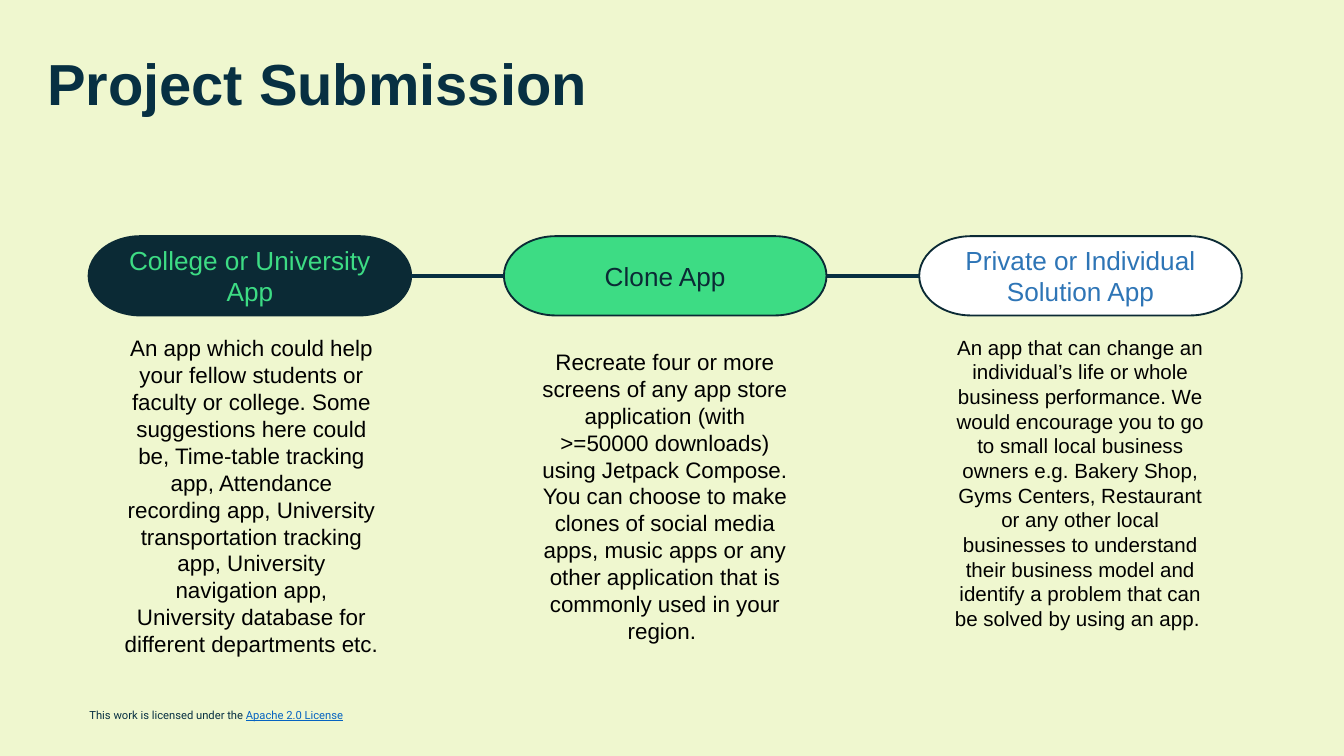
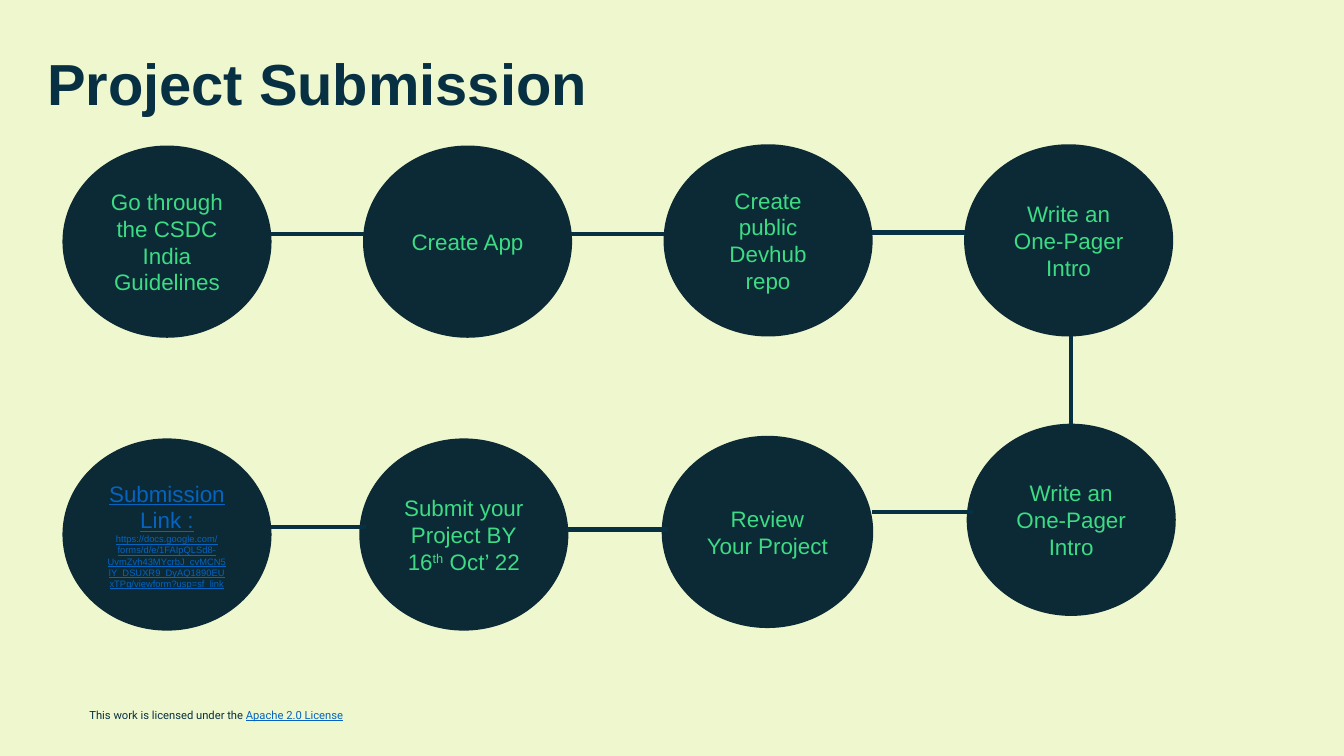
from dataclasses import dataclass
from itertools import pairwise

from lxml.etree import SubElement
from pptx import Presentation
from pptx.dml.color import RGBColor
from pptx.enum.shapes import MSO_CONNECTOR, MSO_SHAPE
from pptx.enum.text import MSO_ANCHOR, MSO_AUTO_SIZE, PP_ALIGN
from pptx.oxml.ns import qn
from pptx.util import Pt

PAPER = RGBColor(0xEF, 0xF7, 0xCF)
NAVY = RGBColor(0x07, 0x30, 0x42)
INK = RGBColor(0x0B, 0x2A, 0x35)
GREEN = RGBColor(0x3D, 0xDC, 0x84)
BLUE = RGBColor(0x2E, 0x75, 0xB6)
LINK = RGBColor(0x05, 0x63, 0xC1)
WHITE = RGBColor(0xFF, 0xFF, 0xFF)
BLACK = RGBColor(0x00, 0x00, 0x00)

PILL_TOP, PILL_WIDTH, PILL_HEIGHT = 126.5, 172.8, 42.5
PILL_LEFT, PILL_PITCH = 47.5, 222.5
CIRCLE_WIDTH, CIRCLE_HEIGHT = 111, 102
LINE_DROP = 46.8  # from the top of a circle to its horizontal line


@dataclass
class Span:
    text: str
    size: float = 12
    color: RGBColor = GREEN
    underline: bool = False
    superscript: bool = False
    bold: bool = False
    font: str = "Arial"


@dataclass
class Track:
    title: str
    fill: RGBColor
    color: RGBColor
    text: str
    size: float
    indent: float
    text_top: float
    text_height: float


@dataclass
class Step:
    left: float
    top: float
    paragraphs: list
    width: float = CIRCLE_WIDTH
    drop: float = LINE_DROP

    @property
    def right(self):
        return self.left + self.width

    @property
    def line_level(self):
        return self.top + self.drop


TRACKS = [
    Track("College or University App", INK, GREEN,
          "An app which could help your fellow students or faculty or college. "
          "Some suggestions here could be, Time-table tracking app, Attendance "
          "recording app, University transportation tracking app, University "
          "navigation app, University database for different departments etc.",
          12, 12, 175.7, 196.6),
    Track("Clone App", GREEN, INK,
          "Recreate four or more screens of any app store application (with "
          ">=50000 downloads) using Jetpack Compose. You can choose to make "
          "clones of social media apps, music apps or any other application "
          "that is commonly used in your region. ",
          12, 11, 183, 167),
    Track("Private or Individual Solution App", WHITE, BLUE,
          "An app that can change an individual’s life or whole business "
          "performance. We would encourage you to go to small local business "
          "owners e.g. Bakery Shop, Gyms Centers, Restaurant or any other local "
          "businesses to understand their business model and identify a problem "
          "that can be solved by using an app. ",
          11, 11, 175.7, 167),
]

TOP_ROW = [
    Step(34, 78.5, [[Span("Go through the CSDC India Guidelines")]]),
    Step(195, 78.5, [[Span("Create App")]]),
    Step(356, 77.8, [[Span("Create public Devhub repo")]]),
    Step(517, 77.8, [[Span("Write an One-Pager Intro")]]),
]
# Listed in reading order of the process, from right to left
BOTTOM_ROW = [
    Step(518.4, 227.5, [[Span("Write an One-Pager Intro")]]),
    Step(355, 234, [[Span("Review Your Project")]], width=112.3, drop=49.7),
    Step(193, 235.4, [
        [Span("Submit your Project BY")],
        [Span("16"), Span("th", superscript=True), Span(" Oct’ 22")],
    ]),
    Step(34, 235.4, [
        [Span("Submission Link :", color=LINK, underline=True)],
        [Span("https://docs.google.com/forms/d/e/1FAIpQLSd8-UvmZvh43MYcrbJ_"
              "cvMCN5lY_DSUXR9_DyAQ1890EUxTPg/viewform?usp=sf_link",
              size=5, color=LINK, underline=True)],
    ]),
]


def write(frame, paragraphs, align=PP_ALIGN.CENTER, line_spacing=None):
    """Fill a text frame with paragraphs, each a list of spans."""
    frame.word_wrap = True
    for index, spans in enumerate(paragraphs):
        para = frame.add_paragraph() if index else frame.paragraphs[0]
        para.alignment = align
        para.line_spacing = line_spacing
        for span in spans:
            run = para.add_run()
            run.text = span.text
            run.font.name = span.font
            run.font.size = Pt(span.size)
            run.font.bold = span.bold
            run.font.underline = span.underline
            run.font.color.rgb = span.color
            if span.superscript:
                run._r.get_or_add_rPr().set("baseline", "30000")


def set_margins(frame, margin):
    frame.margin_left = frame.margin_right = Pt(margin)
    frame.margin_top = frame.margin_bottom = Pt(margin)


def add_filled_shape(page, kind, left, top, width, height, fill, paragraphs):
    box = page.shapes.add_shape(kind, Pt(left), Pt(top), Pt(width), Pt(height))
    box.shadow.inherit = False
    box.fill.solid()
    box.fill.fore_color.rgb = fill
    box.line.color.rgb = INK
    box.line.width = Pt(1)
    box.text_frame.vertical_anchor = MSO_ANCHOR.MIDDLE
    write(box.text_frame, paragraphs)
    return box


def add_line(page, start=(0, 0), end=(0, 0)):
    line = page.shapes.add_connector(
        MSO_CONNECTOR.STRAIGHT, *(Pt(value) for value in (*start, *end)))
    line.line.color.rgb = NAVY
    line.line.width = Pt(2.25)
    SubElement(line._element.spPr, qn("a:effectLst"))
    return line


def join(page, first, first_site, second, second_site):
    line = add_line(page)
    line.begin_connect(first, first_site)
    line.end_connect(second, second_site)


def add_title(page, text):
    title = page.shapes.title
    title.left, title.top = Pt(18), Pt(14.4)
    title.width, title.height = Pt(651), Pt(39)
    frame = title.text_frame
    set_margins(frame, 7.2)
    frame.auto_size = MSO_AUTO_SIZE.NONE
    frame.vertical_anchor = MSO_ANCHOR.TOP
    write(frame, [[Span(text, 31, NAVY, bold=True)]], PP_ALIGN.LEFT, 1.1)


def add_footer(page):
    box = page.shapes.add_textbox(Pt(43.4), Pt(372.2), Pt(197.3), Pt(12.2))
    set_margins(box.text_frame, 4.5)
    write(box.text_frame, [[
        Span("This work is licensed under the ", 6, NAVY, font="Roboto"),
        Span("Apache 2.0 License", 6, LINK, underline=True, font="Roboto"),
    ]], PP_ALIGN.LEFT, 1.4)


def add_page(deck):
    """Add a slide with the shared title and footer."""
    page = deck.slides.add_slide(deck.slide_layouts[5])
    add_footer(page)
    add_title(page, "Project Submission")
    return page


def add_track(page, track, left):
    """Place a pill and its description; return the pill."""
    pill = add_filled_shape(
        page, MSO_SHAPE.FLOWCHART_TERMINATOR, left, PILL_TOP, PILL_WIDTH,
        PILL_HEIGHT, track.fill, [[Span(track.title, 14, track.color)]])
    box = page.shapes.add_textbox(
        Pt(left + track.indent), Pt(track.text_top), Pt(150.5), Pt(track.text_height))
    write(box.text_frame, [[Span(track.text, track.size, BLACK)]])
    box.text_frame.auto_size = MSO_AUTO_SIZE.SHAPE_TO_FIT_TEXT
    return pill


def add_tracks_page(deck):
    page = add_page(deck)
    pills = [add_track(page, track, PILL_LEFT + index * PILL_PITCH)
             for index, track in enumerate(TRACKS)]
    for first, second in pairwise(pills):
        join(page, first, 3, second, 1)


def add_circles(page, steps):
    return [add_filled_shape(page, MSO_SHAPE.OVAL, step.left, step.top, step.width,
                             CIRCLE_HEIGHT, INK, step.paragraphs)
            for step in steps]


def add_steps_page(deck):
    page = add_page(deck)
    top_circles = add_circles(page, TOP_ROW)
    bottom_circles = add_circles(page, BOTTOM_ROW)
    for step, following in pairwise(TOP_ROW):
        add_line(page, (step.right, step.line_level),
                 (following.left, step.line_level))
    for step, following in pairwise(BOTTOM_ROW):
        # The last line sits at the level of the circle it leaves
        add_line(page, (step.left + 3, step.line_level),
                 (following.right, step.line_level))
    turn = bottom_circles[0].left + bottom_circles[0].width // 2
    down = add_line(page)
    down.begin_x = turn
    down.begin_y = top_circles[-1].top + top_circles[-1].height
    down.end_connect(bottom_circles[0], 0)


def main():
    deck = Presentation()
    deck.slide_width, deck.slide_height = Pt(720), Pt(405)
    background = deck.slide_master.background.fill
    background.solid()
    background.fore_color.rgb = PAPER
    add_tracks_page(deck)
    add_steps_page(deck)
    deck.save("out.pptx")


if __name__ == "__main__":
    main()
